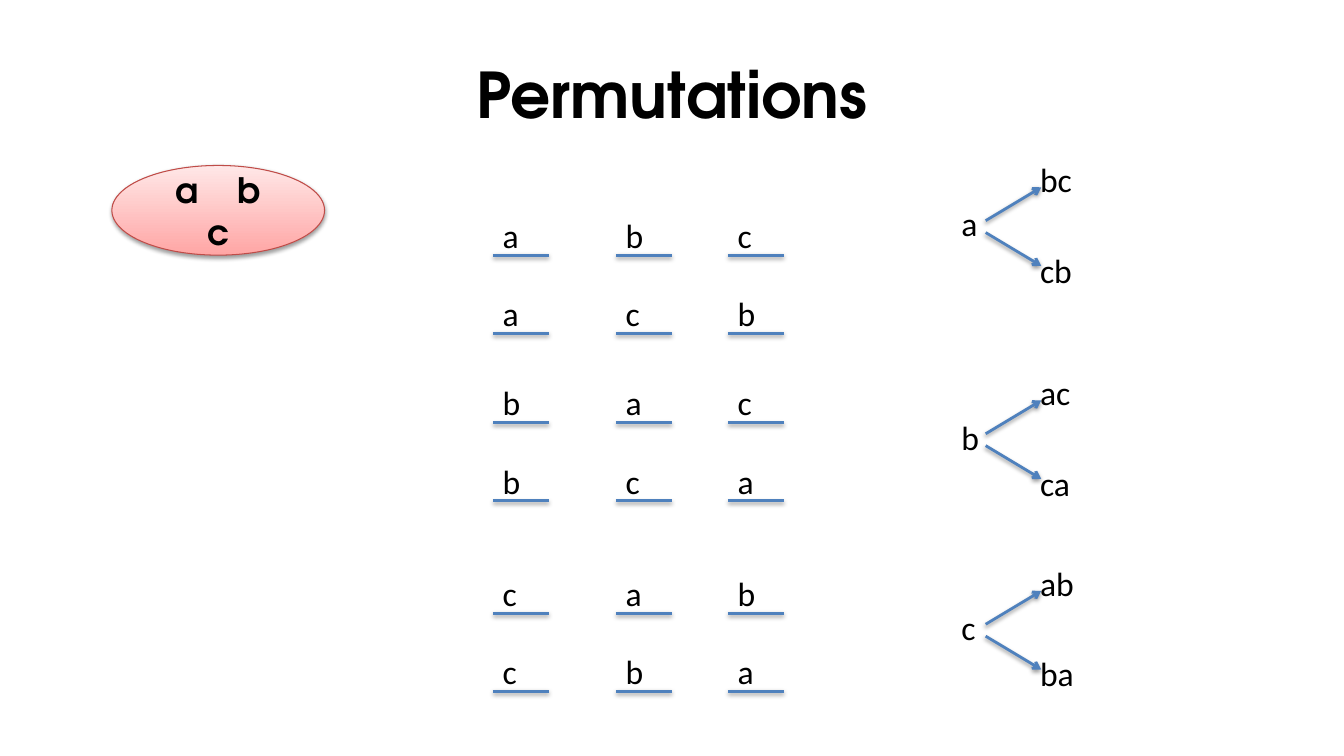
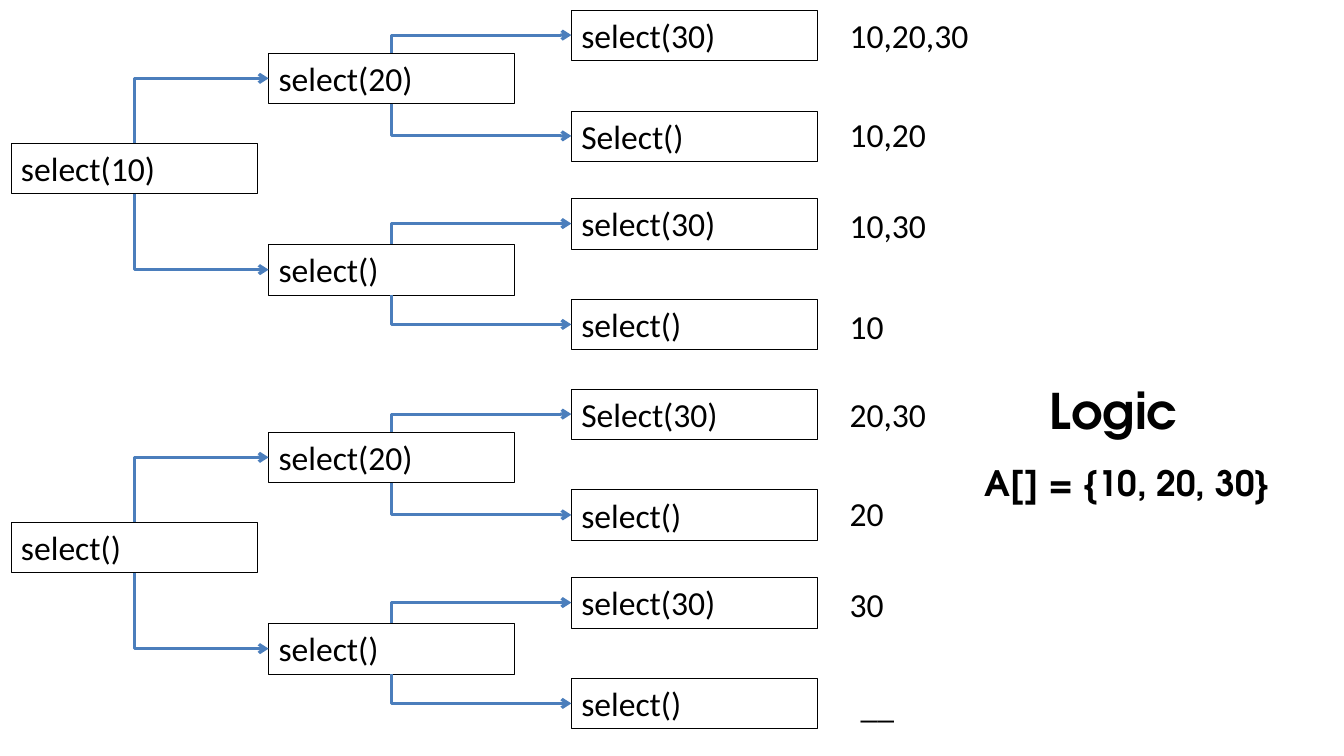
from lxml import etree
from pptx import Presentation
from pptx.dml.color import RGBColor
from pptx.enum.shapes import MSO_CONNECTOR, MSO_SHAPE
from pptx.enum.text import MSO_ANCHOR, PP_ALIGN
from pptx.oxml.ns import qn
from pptx.util import Cm, Pt

STRAIGHT, ELBOW = MSO_CONNECTOR.STRAIGHT, MSO_CONNECTOR.ELBOW
ELLIPSE = MSO_SHAPE.OVAL
CENTER = PP_ALIGN.CENTER
TOP, MIDDLE = MSO_ANCHOR.TOP, MSO_ANCHOR.MIDDLE
SITE_TOP, SITE_LEFT, SITE_BOTTOM = 0, 1, 2

COLORS = {
    "text": "000000",
    "blue": "4F81BD",
    "elbow": "4B7EBC",
    "set_line": "BF4C48",
    "set_dark": "FFA6A5",
    "set_light": "FFE7E7",
}
BODY_FONT, HEAD_FONT = "Calibri", "TeX Gyre Adventor"
ROW_HEIGHT = 1.27

SLOT_COLUMNS = (12.42, 15.52, 18.34)
SLOT_WIDTH = 1.41
WORD_STEP = 1.97
# first letter, top of the word pair, top of the tree root, remaining orders
PERMUTATIONS = (
    ("a", 6.43, 5.0, ("bc", "cb")),
    ("b", 10.65, 10.37, ("ac", "ca")),
    ("c", 15.45, 15.17, ("ab", "ba")),
)

NODE_WIDTH = 6.2
NODE_COLUMNS = (0.28, 6.77, 14.4)
ROOT_TOP = 3.61
BRANCH_TOPS = (1.34, 6.16)
LEAF_TOPS = (0.25, 2.79, 5.0, 7.54)
RESULT_TOPS = (0.25, 2.74, 5.05, 7.59)
# top, root label, branch labels, leaf labels, results
SELECTIONS = (
    (0, "select(10)", ("select(20)", "select()"),
     ("select(30)", "Select()", "select(30)", "select()"),
     ("10,20,30", "10,20", "10,30", "10")),
    (9.55, "select()", ("select(20)", "select()"),
     ("Select(30)", "select()", "select(30)", "select()"),
     ("20,30", "20", "30", "__")),
)


def color(name):
    return RGBColor.from_string(COLORS[name])


def set_font(para, size, name=BODY_FONT, bold=False):
    para.font.size = Pt(size)
    para.font.name = name
    para.font.bold = bold
    para.font.color.rgb = color("text")


def add_text(page, text, left, top, width, height=ROW_HEIGHT, size=24,
             name=BODY_FONT, bold=False, align=None, anchor=TOP):
    box = page.shapes.add_textbox(Cm(left), Cm(top), Cm(width), Cm(height))
    box.text_frame.word_wrap = True
    box.text_frame.vertical_anchor = anchor
    para = box.text_frame.paragraphs[0]
    para.text = text
    para.alignment = align
    set_font(para, size, name, bold)
    return box


def add_heading(page, text, left, top, width, height, size, **layout):
    return add_text(page, text, left, top, width, height, size,
                    HEAD_FONT, True, **layout)


def set_effects(shape, shadow):
    """Replace the theme effects by a soft drop shadow or by none."""
    effects = etree.SubElement(shape.element.spPr, qn("a:effectLst"))
    if shadow:
        drop = etree.SubElement(effects, qn("a:outerShdw"), blurRad=str(Pt(3.1)),
                                dist=str(Pt(1.6)), dir="5400000", rotWithShape="0")
        black = etree.SubElement(drop, qn("a:srgbClr"), val=COLORS["text"])
        etree.SubElement(black, qn("a:alpha"), val="38000")


def style_line(line, tint, width, arrow, shadow):
    line.line.color.rgb = color(tint)
    line.line.width = Pt(width)
    if arrow:
        etree.SubElement(line.line._get_or_add_ln(), qn("a:tailEnd"), type="arrow")
    set_effects(line, shadow)


def add_line(page, left, top, right, bottom, arrow=False):
    line = page.shapes.add_connector(STRAIGHT, Cm(left), Cm(top), Cm(right), Cm(bottom))
    style_line(line, "blue", 2, arrow, shadow=True)


def add_elbow(page, parent, child):
    """Arrow that leaves the parent vertically and enters the child's left side."""
    upward = child.top < parent.top
    elbow = page.shapes.add_connector(ELBOW, 0, 0, 0, 0)
    elbow.begin_connect(parent, SITE_TOP if upward else SITE_BOTTOM)
    elbow.end_connect(child, SITE_LEFT)
    begin_x, begin_y, end_x, end_y = elbow.begin_x, elbow.begin_y, elbow.end_x, elbow.end_y
    across, along = abs(end_y - begin_y), abs(end_x - begin_x)
    elbow.left = (begin_x + end_x - across) // 2
    elbow.top = (begin_y + end_y - along) // 2
    elbow.width, elbow.height = across, along
    properties = elbow.element.spPr
    frame = properties.find(qn("a:xfrm"))
    frame.set("rot", "5400000" if upward else "16200000")
    frame.set("flipH", "1")
    frame.set("flipV", "1" if upward else "0")
    properties.find(qn("a:prstGeom")).set("prst", "bentConnector2")
    style_line(elbow, "elbow", 2.25, arrow=True, shadow=False)


def add_letter_set(page, left, top, width, height):
    ellipse = page.shapes.add_shape(ELLIPSE, Cm(left), Cm(top), Cm(width), Cm(height))
    ellipse.fill.gradient()
    ellipse.fill.gradient_angle = 90
    for stop, tint in zip(ellipse.fill.gradient_stops, ("set_dark", "set_light")):
        stop.color.rgb = color(tint)
    ellipse.line.color.rgb = color("set_line")
    ellipse.line.width = Pt(0.75)
    set_effects(ellipse, shadow=True)
    frame = ellipse.text_frame
    frame.vertical_anchor = MIDDLE
    frame.text = "a b\nc"
    for para in frame.paragraphs:
        para.alignment = CENTER
        set_font(para, 25, HEAD_FONT, True)
    # wide letter spacing sets the first two letters apart
    frame.paragraphs[0].runs[0].font._element.set("spc", "1040")


def add_word(page, word, baseline):
    """Letters of a word, each on its own underlined slot."""
    for letter, left in zip(word, SLOT_COLUMNS):
        add_line(page, left, baseline, left + SLOT_WIDTH, baseline)
        add_text(page, letter, left, baseline - 1.14, SLOT_WIDTH)


def add_letter_tree(page, root, leaves, left, top):
    add_text(page, root, left, top, SLOT_WIDTH)
    offsets = ((-1.12, 0.56, -0.28), (1.17, 0.86, 1.7))
    for leaf, (leaf_top, start, end) in zip(leaves, offsets):
        add_line(page, left + 0.86, top + start, left + 2.26, top + end, arrow=True)
        add_text(page, leaf, left + 1.98, top + leaf_top, 2.54)


def add_node(page, label, column, top):
    node = add_text(page, label, NODE_COLUMNS[column], top, NODE_WIDTH)
    node.line.color.rgb = color("text")
    node.line.width = Pt(0.25)
    return node


def add_selection_tree(page, top, root_label, branch_labels, leaf_labels, results):
    root = add_node(page, root_label, 0, top + ROOT_TOP)
    branches = [add_node(page, label, 1, top + offset)
                for label, offset in zip(branch_labels, BRANCH_TOPS)]
    leaves = [add_node(page, label, 2, top + offset)
              for label, offset in zip(leaf_labels, LEAF_TOPS)]
    for branch in branches:
        add_elbow(page, root, branch)
    for index, leaf in enumerate(leaves):
        add_elbow(page, branches[index // 2], leaf)
    for result, offset in zip(results, RESULT_TOPS):
        left = 21.44 if result == "__" else 21.16
        add_text(page, result, left, top + offset, 6.5)


def build_permutations(page):
    add_heading(page, "Permutations", 1.69, 0.76, 30.48, 3.18, 45,
                align=CENTER, anchor=MIDDLE)
    add_letter_set(page, 2.82, 4.17, 5.36, 2.26)
    for first, baseline, tree_top, orders in PERMUTATIONS:
        for row, order in enumerate(orders):
            add_word(page, first + order, baseline + row * WORD_STEP)
        add_letter_tree(page, first, orders, 23.98, tree_top)


def build_selection(page):
    for selection in SELECTIONS:
        add_selection_tree(page, *selection)
    add_heading(page, "Logic", 26.21, 9.47, 6.5, 1.75, 35)
    add_heading(page, "A[] = {10, 20, 30}", 24.56, 11.51, 8.05, 1.32, 25)


def main():
    deck = Presentation()
    deck.slide_width, deck.slide_height = Cm(33.87), Cm(19.05)
    blank = deck.slide_layouts[6]
    for build in (build_permutations, build_selection):
        build(deck.slides.add_slide(blank))
    deck.save("out.pptx")


if __name__ == "__main__":
    main()
